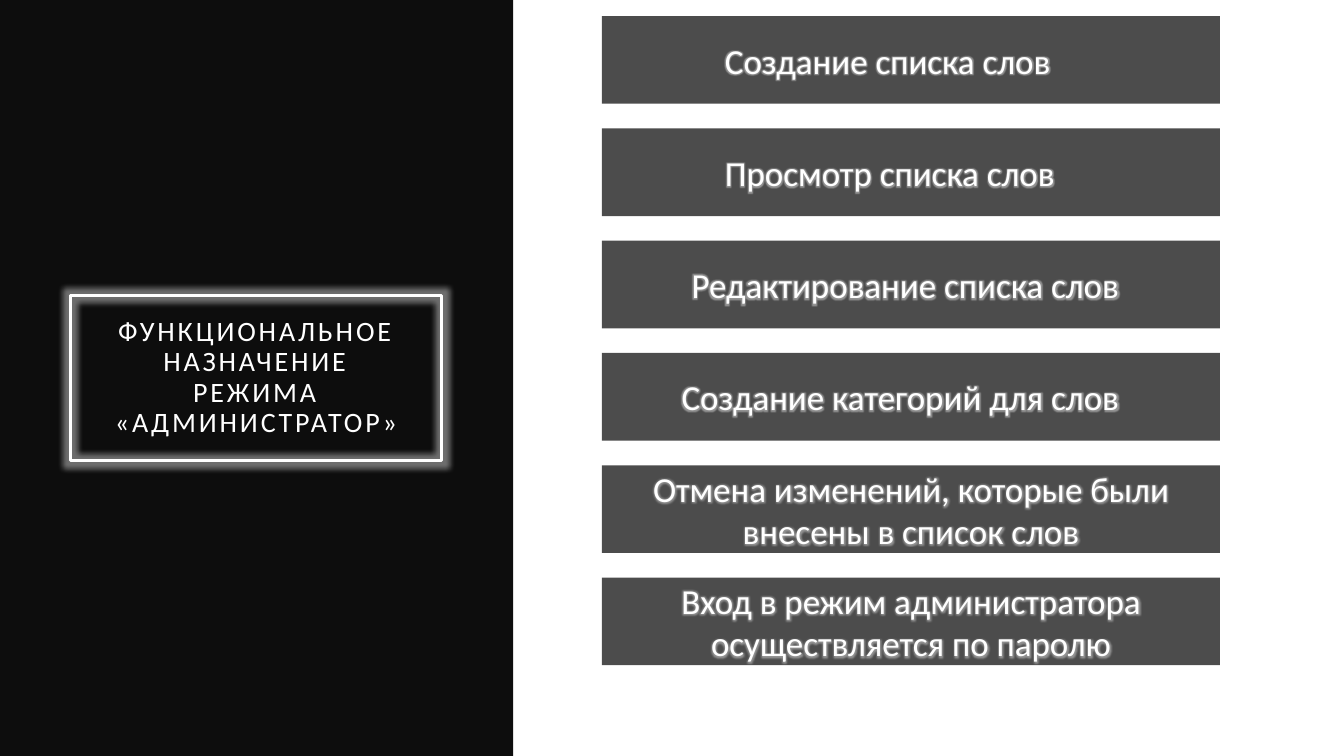
from lxml import etree
from pptx import Presentation
from pptx import util as u
from pptx.dml.color import RGBColor
from pptx.enum import shapes, text
from pptx.oxml import ns

deck = Presentation()
deck.slide_width, deck.slide_height = u.Inches(13.33), u.Inches(7.5)
page = deck.slides.add_slide(deck.slide_layouts[5])
WHITE = "FFFFFF"


def paint(part, tone, alpha=None):
    """Give a fill or a font fill a solid colour, with opacity in percent."""
    part.solid()
    part.fore_color.rgb = RGBColor.from_string(tone)
    if alpha:
        node = part._xPr.find(ns.qn("a:solidFill"))[0]
        etree.SubElement(node, ns.qn("a:alpha")).set("val", str(alpha * 1000))


def glow(props, after, size):
    """Add a soft white glow behind the given child of a properties node."""
    list_ = etree.Element(ns.qn("a:effectLst"))
    halo = etree.SubElement(list_, ns.qn("a:glow"), rad=str(u.Pt(size)))
    tone = etree.SubElement(halo, ns.qn("a:srgbClr"), val=WHITE)
    etree.SubElement(tone, ns.qn("a:alpha"), val="40000")
    props.find(ns.qn(after)).addnext(list_)


# Dark panel on the left, behind the title
panel = page.shapes.add_shape(
    shapes.MSO_SHAPE.RECTANGLE, 0, 0, u.Inches(5.09), deck.slide_height)
panel.shadow.inherit = False
paint(panel.fill, "0D0D0D")
panel.line.fill.background()
page.shapes._spTree.insert(2, panel._element)

# Framed title
title = page.shapes.title
title.left, title.top = u.Inches(0.7), u.Inches(2.93)
title.width, title.height = u.Inches(3.68), u.Inches(1.64)
paint(title.line.fill, WHITE)
title.line.width = u.Pt(2.5)
glow(title._element.spPr, "a:ln", 8)
frame = title.text_frame
frame.word_wrap = True
frame.auto_size = text.MSO_AUTO_SIZE.NONE
frame.vertical_anchor = text.MSO_ANCHOR.MIDDLE
frame.margin_left = frame.margin_right = u.Inches(0.2)
frame.margin_top = frame.margin_bottom = u.Inches(0.2)
para = frame.paragraphs[0]
para.alignment = text.PP_ALIGN.CENTER
para.line_spacing = 0.9
for i, line in enumerate(("ФУНКЦИОНАЛЬНОЕ НАЗНАЧЕНИЕ",
                          "РЕЖИМА «АДМИНИСТРАТОР»")):
    if i:
        para.add_line_break()
    run = para.add_run()
    run.text = line
    run.font.name, run.font.size = "Calibri", u.Pt(20)
    paint(run.font.fill, WHITE)
    run.font._element.set("spc", "200")

# Bars with their labels: wording, label left, label width, centred
LEFT, WIDE, HIGH = 5.97, 6.13, 0.87
TOP, STEP, TALL = 0.16, 1.114, 0.55
items = [
    ("Создание списка слов", 7.03, 4.35, False),
    ("Просмотр списка слов", 7.03, 4.35, False),
    ("Редактирование списка слов", 6.7, 4.83, False),
    ("Создание категорий для слов", 6.6, 5.03, False),
    ("Отмена изменений, которые были внесены в список слов",
     LEFT, WIDE, True),
    ("Вход в режим администратора осуществляется по паролю",
     LEFT, WIDE, True),
]
for row, (words, left, wide, mid) in enumerate(items):
    top = TOP + row * STEP
    bar = page.shapes.add_shape(
        shapes.MSO_SHAPE.RECTANGLE, u.Inches(LEFT), u.Inches(top),
        u.Inches(WIDE), u.Inches(HIGH))
    bar.shadow.inherit = False
    paint(bar.fill, "000000", 70)
    bar.line.fill.background()

    label = page.shapes.add_textbox(
        u.Inches(left), u.Inches(top + (HIGH - TALL) / 2),
        u.Inches(wide), u.Inches(TALL))
    frame = label.text_frame
    frame.word_wrap = True
    frame.vertical_anchor = text.MSO_ANCHOR.MIDDLE
    frame.margin_left = frame.margin_right = u.Inches(0.16)
    frame.margin_top = frame.margin_bottom = u.Inches(0.16)
    para = frame.paragraphs[0]
    para.alignment = text.PP_ALIGN.CENTER if mid else text.PP_ALIGN.LEFT
    run = para.add_run()
    run.text = words
    run.font.name, run.font.size = "Calibri", u.Pt(25)
    paint(run.font.fill, WHITE)
    glow(run.font._element, "a:solidFill", 5)

deck.save("out.pptx")
